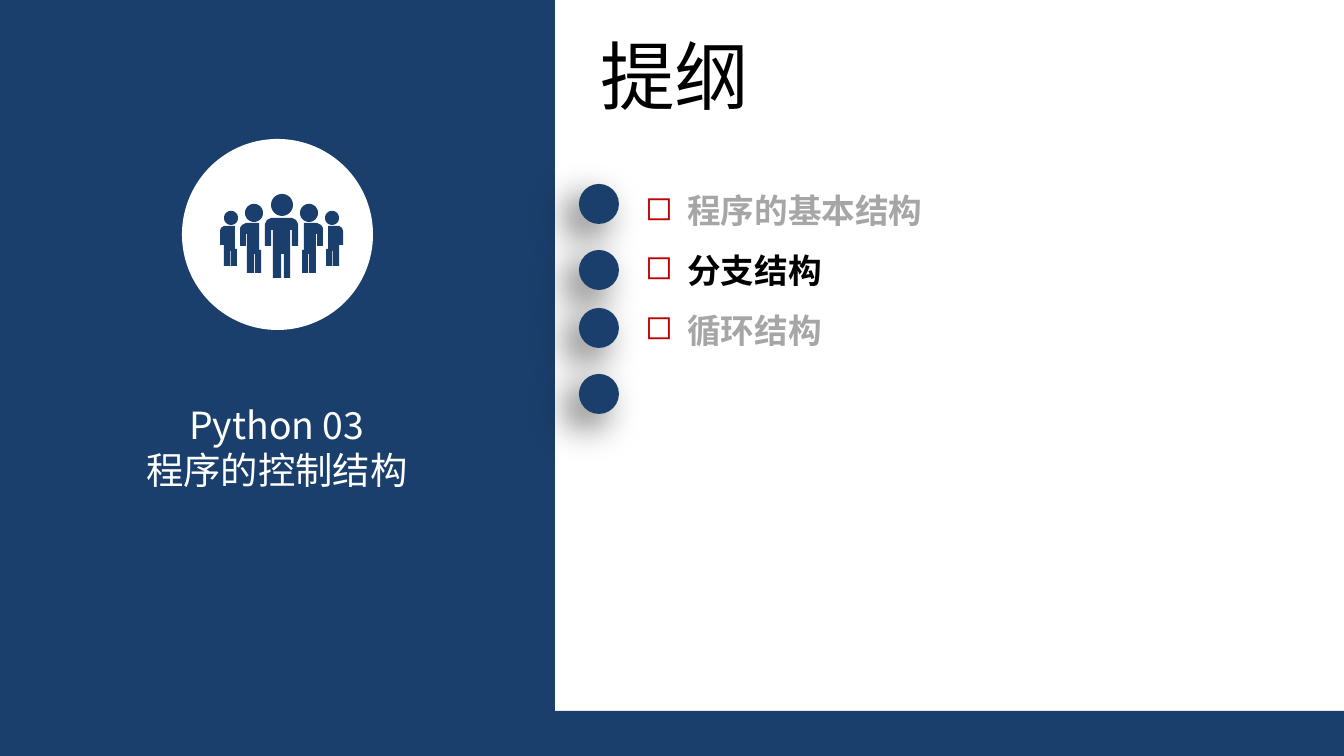
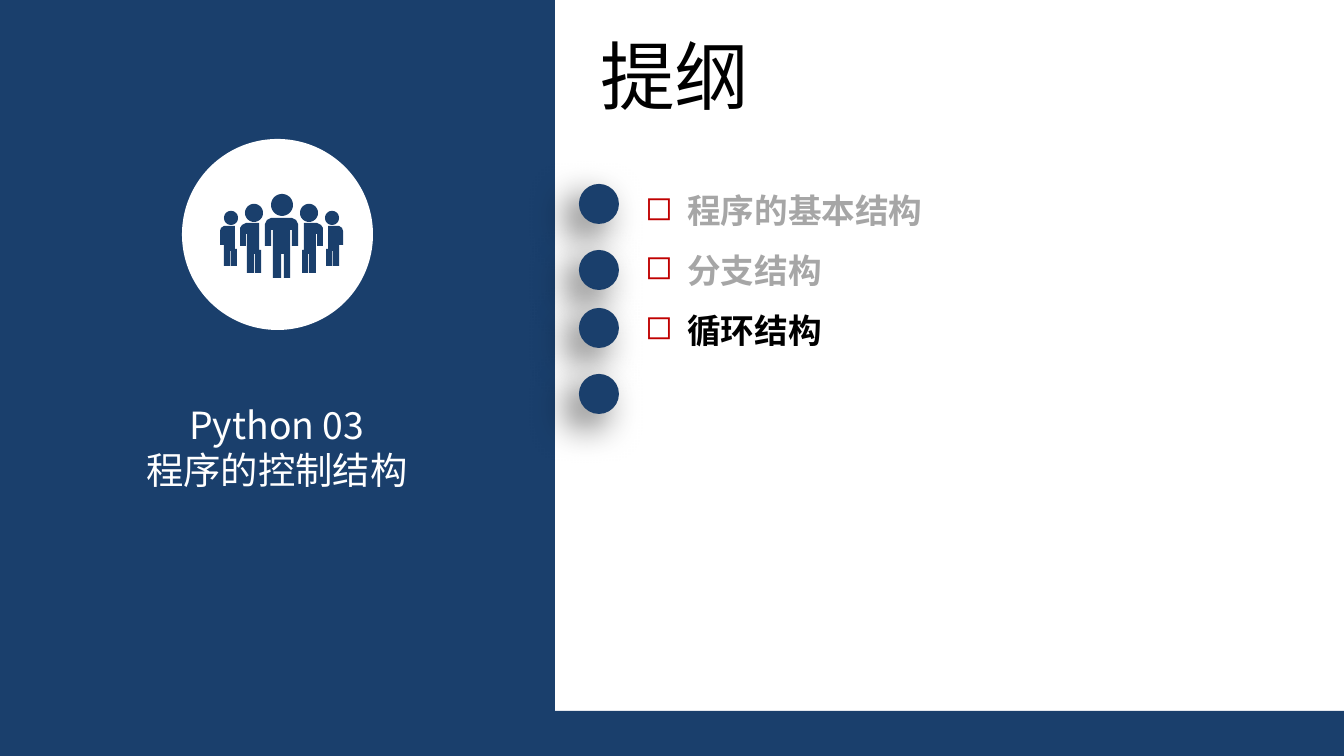
"""Build two outline slides for a lesson on program control structures."""
import math

from lxml import etree
from pptx import Presentation
from pptx import util as u
from pptx.dml.color import RGBColor
from pptx.enum import shapes, text
from pptx.oxml import ns

PX = 914400 / 134.4
WIDTH, HEIGHT = 1344, 756
FONT = "Noto Sans CJK SC"
NAVY = RGBColor(0x1A, 0x3F, 0x6C)
WHITE = RGBColor(0xFF, 0xFF, 0xFF)
BLACK = RGBColor(0x00, 0x00, 0x00)
MUTED = RGBColor(0xA6, 0xA6, 0xA6)
RED = RGBColor(0xC0, 0x00, 0x00)

RECT = shapes.MSO_SHAPE.RECTANGLE
OVAL = shapes.MSO_SHAPE.OVAL

TOPICS = ["程序的基本结构", "分支结构", "循环结构"]
DOT_TOPS = [184, 250, 308, 374]

MIRROR = 563
LEADER = [(292, 246), (292, 230), (290, 230), (290, 278), (284, 278),
          (284, 254), (281, 254), (281, 278), (273, 278), (273, 230),
          (271, 230), (271, 246), (265, 246), (265, 224), (267, 220),
          (271, 218), (292, 218), (296, 220), (298, 224), (298, 246)]
INNER = [(261, 250), (261, 273), (255, 273), (255, 254), (254, 254),
         (254, 273), (247, 273), (247, 234), (246, 234), (246, 246),
         (240, 246), (240, 228), (242, 225), (246, 223), (259, 223),
         (259, 250)]
OUTER = [(237, 249), (237, 266), (231, 266), (231, 251), (230, 251),
         (230, 266), (224, 266), (224, 235), (224, 245), (220, 245),
         (220, 231), (221, 228), (224, 226), (235, 226), (235, 249)]


def px(length):
    """Turn px into EMU."""
    return u.Emu(round(length * PX))


def add_child(parent, tag, **attributes):
    """Append a DrawingML element and return it."""
    values = {key: str(value) for key, value in attributes.items()}
    return etree.SubElement(parent, ns.qn(f"a:{tag}"), values)


def paint(figure, color):
    """Give a shape a flat fill with no line and no shadow."""
    figure.shadow.inherit = False
    figure.fill.solid()
    figure.fill.fore_color.rgb = color
    figure.line.fill.background()


def add_figure(parent, kind, box, color):
    """Add a flat preset shape."""
    figure = parent.shapes.add_shape(kind, *map(px, box))
    paint(figure, color)
    return figure


def head(x, y, radius, steps=36):
    """Return the outline of a round head."""
    angles = [math.tau * step / steps for step in range(steps)]
    return [(x + radius * math.cos(a), y + radius * math.sin(a))
            for a in angles]


def add_team(parent):
    """Draw five people as a single outline."""
    left = [head(254, 213, 9), INNER, head(231, 218, 7), OUTER]
    right = [[(MIRROR - x, y) for x, y in outline] for outline in left]
    tenths = [[(round(x * 10), round(y * 10)) for x, y in outline]
              for outline in [head(282, 205, 11), LEADER, *left, *right]]
    first, *others = tenths
    builder = parent.shapes.build_freeform(*first[0], scale=PX / 10)
    builder.add_line_segments(first[1:], close=True)
    for outline in others:
        builder.move_to(*outline[0])
        builder.add_line_segments(outline[1:], close=True)
    paint(builder.convert_to_shape(), NAVY)


def add_badge(slide):
    """Group the white disc with the team."""
    badge = slide.shapes.add_group_shape()
    add_figure(badge, OVAL, (182, 139, 191, 191), WHITE)
    add_team(badge)


def add_dot(slide, top):
    """Add a timeline dot with a soft shadow."""
    dot = add_figure(slide, OVAL, (579, top, 40, 40), NAVY)
    effects = dot.element.spPr.find(ns.qn("a:effectLst"))
    shadow = add_child(effects, "outerShdw", blurRad=u.Pt(20), dist=u.Pt(10),
                       dir=135 * 60000, algn="tr", rotWithShape=0)
    shade = add_child(shadow, "srgbClr", val=BLACK)
    add_child(shade, "alpha", val=60000)


def add_bullet(paragraph):
    """Give a paragraph a hanging red square."""
    properties = paragraph._p.get_or_add_pPr()
    properties.set("marL", str(px(42)))
    properties.set("indent", str(-px(42)))
    color = add_child(properties, "buClr")
    add_child(color, "srgbClr", val=RED)
    add_child(properties, "buChar", char="◻")


def add_text(slide, box, lines, size, leading, wrap=True, bold=False,
             align=text.PP_ALIGN.LEFT, bullets=False, inset=True):
    """Add a text box from (wording, color) lines."""
    label = slide.shapes.add_textbox(*map(px, box))
    frame = label.text_frame
    frame.word_wrap = wrap
    frame.auto_size = text.MSO_AUTO_SIZE.SHAPE_TO_FIT_TEXT
    if not inset:
        frame.margin_left = frame.margin_right = 0
        frame.margin_top = frame.margin_bottom = 0
    for index, (wording, color) in enumerate(lines):
        paragraph = frame.add_paragraph() if index else frame.paragraphs[0]
        paragraph.alignment = align
        paragraph.line_spacing = u.Pt(leading)
        if bullets:
            add_bullet(paragraph)
        run = paragraph.add_run()
        run.text = wording
        run.font.size = u.Pt(size)
        run.font.bold = bold
        run.font.color.rgb = color
        run.font.name = FONT
        add_child(run.font._element, "ea", typeface=FONT)


def add_outline(deck, current):
    """Add an outline slide that highlights the current topic."""
    slide = deck.slides.add_slide(deck.slide_layouts[6])
    add_figure(slide, RECT, (0, 711, WIDTH, 45), NAVY)
    add_figure(slide, RECT, (0, 0, 555, HEIGHT), NAVY)
    add_text(slide, (587, 23, 177, 103), [("提纲", BLACK)], 40, 48, wrap=False)
    add_text(slide, (79, 402, 396, 90),
             [("Python 03", WHITE), ("程序的控制结构", WHITE)], 20, 24,
             align=text.PP_ALIGN.CENTER, inset=False)
    add_badge(slide)
    topics = [(topic, BLACK if topic == current else MUTED)
              for topic in TOPICS]
    add_text(slide, (632, 164, 671, 189), topics, 18, 32,
             bold=True, bullets=True)
    for top in DOT_TOPS:
        add_dot(slide, top)


def main():
    """Build and save the deck."""
    deck = Presentation()
    deck.slide_width, deck.slide_height = px(WIDTH), px(HEIGHT)
    for current in TOPICS[1:]:
        add_outline(deck, current)
    deck.save("out.pptx")


if __name__ == "__main__":
    main()
